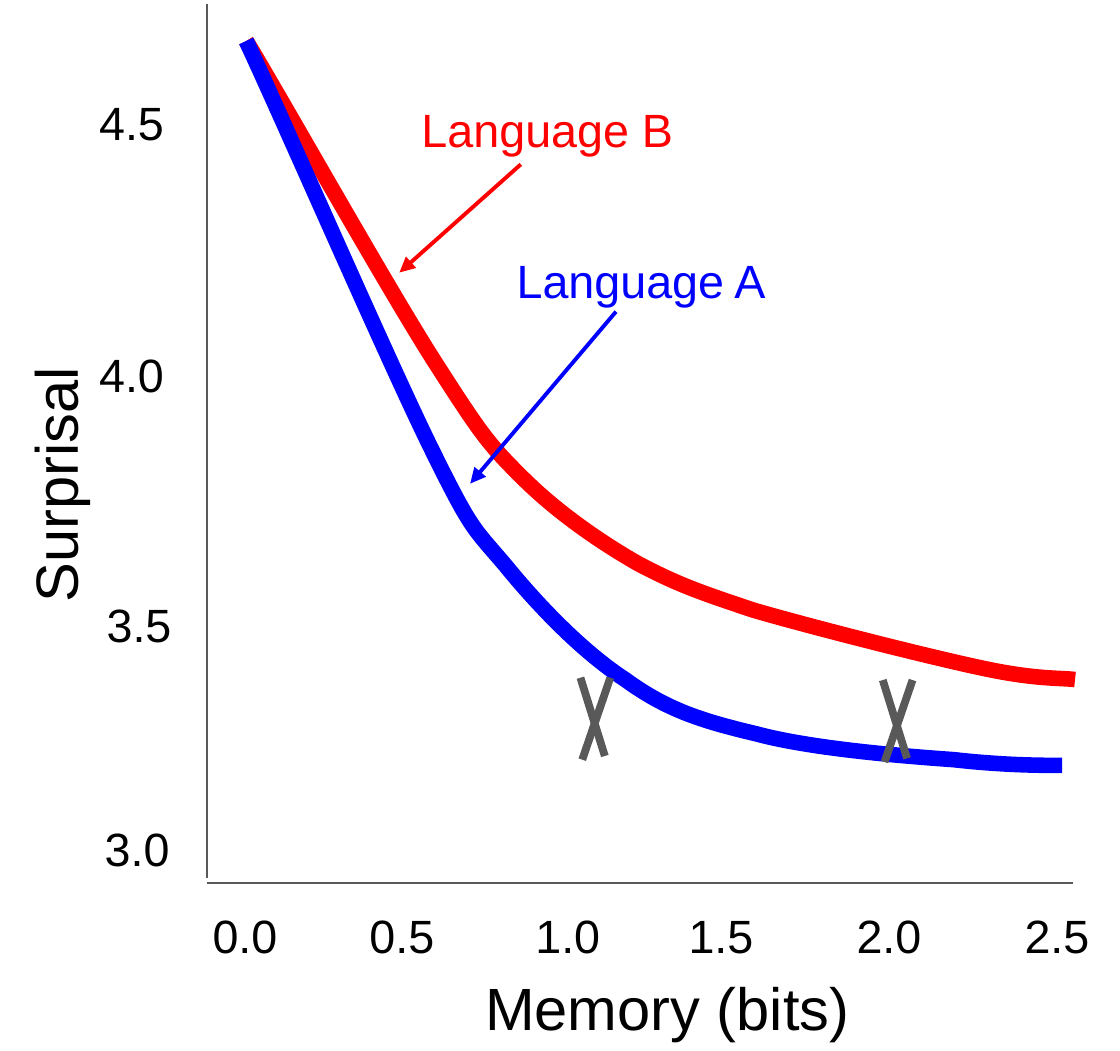
from itertools import product
from lxml.etree import SubElement
from pptx import Presentation
from pptx.dml.color import RGBColor
from pptx.enum.shapes import MSO_CONNECTOR
from pptx.enum.text import MSO_ANCHOR, PP_ALIGN
from pptx.oxml.ns import qn
from pptx.util import Pt

THEME = {
    "font": "Arial", "label": 18, "title": 23, "thick": 6, "mark": 3, "arrow": 1.5, "axis": 0.75,
    "black": RGBColor(0, 0, 0), "gray": RGBColor(0x59, 0x59, 0x59),
    "red": RGBColor(0xFF, 0, 0), "blue": RGBColor(0, 0, 0xFF),
}
PLOT = (80, 1.5, 334, 339)
RED = [(15, 14.3), (27.3, 34.5), (69.8, 110.1), (87.8, 138.2), (105.8, 166.3),
       (108.6, 169.9), (121.6, 182.8), (134.6, 195.8), (151.1, 207.3), (166.2, 215.9),
       (181.4, 223.9), (189.3, 226.7), (210.9, 233.9), (233.2, 240.4), (278.6, 251.9),
       (299.4, 256.3), (319.6, 260.6), (329, 259.9), (334.7, 260.6)]
BLUE = [(15, 14.3), (27.3, 40.3), (69, 136), (85.6, 169.9), (102.2, 203.7),
        (102.2, 201.5), (115.1, 216.7), (127.4, 231.8), (144.6, 249.8), (161.2, 260.6),
        (177, 272.1), (190, 276.4), (211.6, 281.5), (232.5, 287.2), (267.8, 290.1),
        (287.9, 291.5), (307.4, 293.7), (322.5, 293.7), (329.7, 293.7)]


def style(item, values):
    """Set each attribute named in values on item."""
    for name, value in values.items():
        setattr(item, name, value)


def write(slide, box, spot, text, size="label", color="black", align=PP_ALIGN.LEFT, turn=0):
    """Add a text box at spot, given as left, top, width, height from the box corner."""
    left, top, width, height = spot
    shape = slide.shapes.add_textbox(Pt(box[0] + left), Pt(box[1] + top), Pt(width), Pt(height))
    shape.rotation = turn
    pad = Pt(7.2)
    style(shape.text_frame, {
        "word_wrap": True, "vertical_anchor": MSO_ANCHOR.TOP, "margin_left": pad,
        "margin_right": pad, "margin_top": pad, "margin_bottom": pad})
    para = shape.text_frame.paragraphs[0]
    para.alignment = align
    run = para.add_run()
    run.text = text
    style(run.font, {"name": THEME["font"], "size": Pt(THEME[size])})
    run.font.color.rgb = THEME[color]


def stroke(shape, color, width):
    """Give a line its colour and width."""
    shape.line.color.rgb = THEME[color]
    shape.line.width = Pt(THEME[width])


def rule(slide, box, start, end, color, width, head=False):
    """Add a straight line between two points of the box."""
    ends = [Pt(side + step) for point in (start, end) for side, step in zip(box, point)]
    line = slide.shapes.add_connector(MSO_CONNECTOR.STRAIGHT, *ends)
    stroke(line, color, width)
    if head:
        SubElement(line.line._get_or_add_ln(), qn("a:tailEnd"), type="triangle")
    SubElement(line._element.spPr, qn("a:effectLst"))


def curve(slide, box, points, color):
    """Add a smooth curve through a chain of Bezier points."""
    spots = [(Pt(box[0] + x), Pt(box[1] + y)) for x, y in points]
    pen = slide.shapes.build_freeform(*spots[0])
    pen.add_line_segments(spots[1:], close=False)
    shape = pen.convert_to_shape()
    shape.shadow.inherit = False
    shape.fill.background()
    stroke(shape, color, "thick")
    track = next(shape._element.iter(qn("a:path")))
    steps = track.findall(qn("a:lnTo"))
    for first in range(0, len(steps), 3):
        bend = SubElement(track, qn("a:cubicBezTo"))
        for step in steps[first:first + 3]:
            bend.append(step[0])
            track.remove(step)


def axes(slide, box):
    """Draw both axes with their tick labels and titles."""
    wide, high = box[2:]
    rule(slide, box, (0, 0), (0, high - 2), "gray", "axis")
    rule(slide, box, (0, high), (wide, high), "gray", "axis")
    rows = zip((-57.7, -57.7, -54.8, -55.5), (27.3, 124.5, 221, 307.4))
    for step, (left, top) in enumerate(rows):
        write(slide, box, (left, top, 48, 32), f"{4.5 - step / 2:.1f}", align=PP_ALIGN.RIGHT)
    for step, left in enumerate((-5.1, 55.4, 119.4, 178.5, 243.3, 308.1)):
        write(slide, box, (left, high + 2.2, 60, 37), f"{step / 2:.1f}")
    write(slide, box, (-179.4, 86.3, 251, 52.5), "Surprisal", "title", turn=270)
    write(slide, box, (100, high + 26.7, 251, 52.5), "Memory (bits)", "title")


def names(slide, box):
    """Label each curve and point an arrow at it."""
    for text, color, spot, start, end in (
            ("Language A", "blue", (112.2, 88.5), (157.6, 118.7), (101.4, 185)),
            ("Language B", "red", (75.5, 30.2), (120.9, 61.9), (74.1, 103.6))):
        write(slide, box, (*spot, 138, 43), text, color=color)
        rule(slide, box, start, end, color, "arrow", head=True)


def marks(slide, box):
    """Draw the two crosses."""
    bars = (((0.7, 31.6), (11.5, 0)), ((9.4, 30.2), (0, 0)))
    for (x, y), bar in product(((143.9, 259.9), (260.5, 260.8)), bars):
        start, end = [(x + across, y + down) for across, down in bar]
        rule(slide, box, start, end, "gray", "mark")


def main():
    """Build the slide and save it."""
    deck = Presentation()
    style(deck, {"slide_width": Pt(432), "slide_height": Pt(405.36)})
    slide = deck.slides.add_slide(deck.slide_layouts[6])
    curve(slide, PLOT, RED, "red")
    curve(slide, PLOT, BLUE, "blue")
    for part in (axes, names, marks):
        part(slide, PLOT)
    deck.save("out.pptx")


main()
